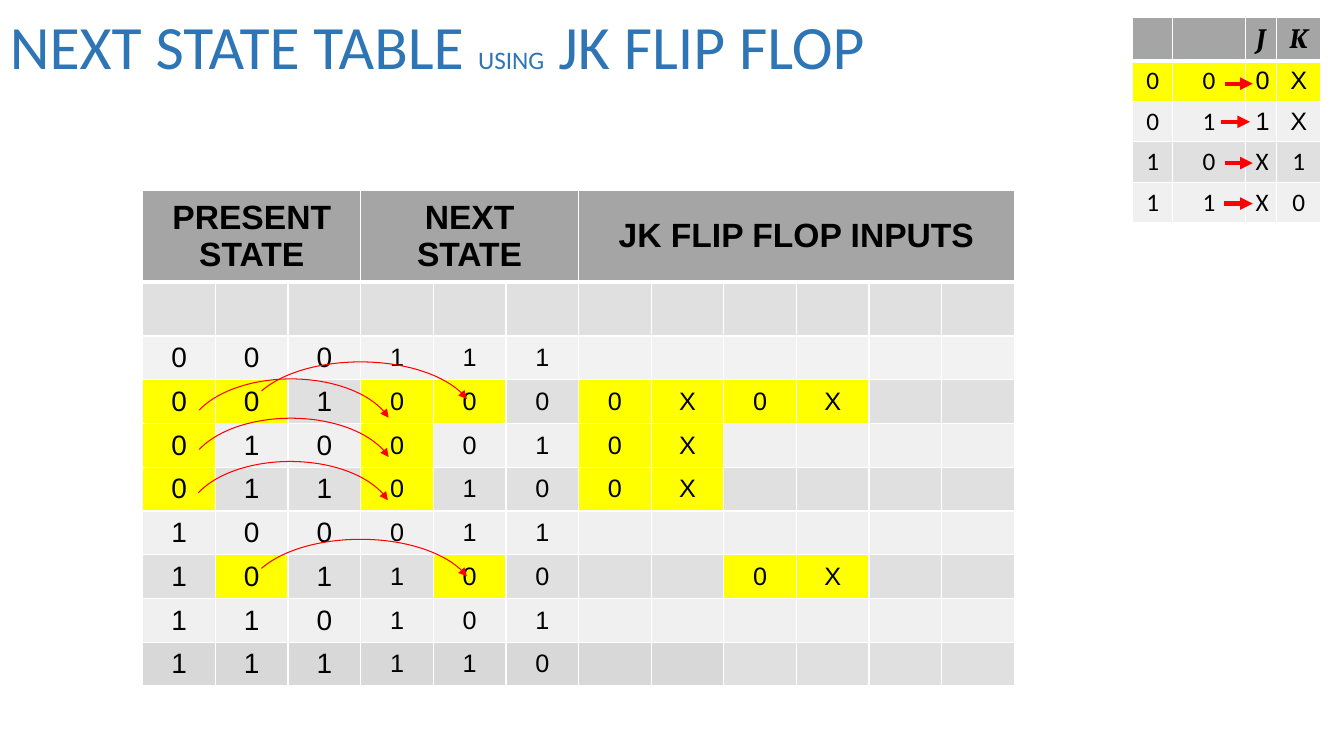
from dataclasses import dataclass

from lxml.etree import SubElement
from pptx import Presentation
from pptx.dml.color import RGBColor
from pptx.enum.shapes import MSO_CONNECTOR, MSO_SHAPE
from pptx.enum.text import MSO_ANCHOR, PP_ALIGN
from pptx.oxml.ns import qn
from pptx.slide import Slide
from pptx.table import Table, _Cell
from pptx.text.text import _Paragraph
from pptx.util import Cm, Pt

BLUE = RGBColor(0x2E, 0x75, 0xB5)
BLACK = RGBColor(0x00, 0x00, 0x00)
WHITE = RGBColor(0xFF, 0xFF, 0xFF)
RED = RGBColor(0xFF, 0x00, 0x00)
YELLOW = RGBColor(0xFF, 0xFF, 0x00)
HEADER_GREY = RGBColor(0xA5, 0xA5, 0xA5)
DARK_GREY = RGBColor(0xD8, 0xD8, 0xD8)
MIDDLE_GREY = RGBColor(0xE0, 0xE0, 0xE0)
LIGHT_GREY = RGBColor(0xF0, 0xF0, 0xF0)
PALE_GREY = RGBColor(0xF2, 0xF2, 0xF2)

STATE_COLUMNS = 12
ARC_START, ARC_END = 117.94, 209.15


@dataclass(frozen=True)
class TextStyle:
    size: float
    font: str
    color: RGBColor = BLACK
    bold: bool = False
    italic: bool = False


@dataclass(frozen=True)
class HeaderGroup:
    text: str
    first: int
    last: int


@dataclass(frozen=True)
class StateRow:
    values: str
    shade: RGBColor
    yellow: tuple[int, ...] = ()


@dataclass(frozen=True)
class ExcitationRow:
    values: str
    shade: RGBColor
    input_font: str


@dataclass(frozen=True)
class StraightArrow:
    start: float
    end: float
    level: float


@dataclass(frozen=True)
class ArcArrow:
    left: float
    top: float
    width: float


TITLE_BIG = TextStyle(44, "Calibri", BLUE)
TITLE_SMALL = TextStyle(18, "Calibri", BLUE)
GROUP_STYLE = TextStyle(24, "Arial", bold=True)
PRESENT_STYLE = TextStyle(20, "Arial")
NEXT_STYLE = TextStyle(18, "Arial")
INPUT_NAME_STYLE = TextStyle(20, "Cambria", bold=True, italic=True)

HEADER_GROUPS = (
    HeaderGroup("PRESENT STATE", 0, 2),
    HeaderGroup("NEXT STATE", 3, 5),
    HeaderGroup("JK FLIP FLOP INPUTS", 6, 11),
)
STATE_ROWS = (
    StateRow("", MIDDLE_GREY),
    StateRow("000111", PALE_GREY),
    StateRow("0010000X0X", MIDDLE_GREY, (0, 1, 3, 4, 6, 7, 8, 9)),
    StateRow("0100010X", LIGHT_GREY, (0, 3, 6, 7)),
    StateRow("0110100X", MIDDLE_GREY, (0, 3, 6, 7)),
    StateRow("100011", LIGHT_GREY),
    StateRow("101100  0X", MIDDLE_GREY, (1, 4, 8, 9)),
    StateRow("110101", LIGHT_GREY),
    StateRow("111110", DARK_GREY),
)
EXCITATION_ROWS = (
    ExcitationRow("000X", YELLOW, "Arial"),
    ExcitationRow("011X", LIGHT_GREY, "Arial"),
    ExcitationRow("10X1", MIDDLE_GREY, "Calibri"),
    ExcitationRow("11X0", LIGHT_GREY, "Calibri"),
)
EXCITATION_ARROWS = (
    StraightArrow(30.86, 31.57, 2.11),
    StraightArrow(30.78, 31.5, 3.07),
    StraightArrow(30.86, 31.57, 4.11),
    StraightArrow(30.84, 31.57, 5.13),
)
STATE_ARCS = (
    ArcArrow(4.72, 9.55, 5.23),
    ArcArrow(4.72, 10.54, 5.23),
    ArcArrow(4.7, 11.63, 5.23),
    ArcArrow(6.2, 9.12, 5.77),
    ArcArrow(6.2, 13.59, 5.77),
)


def add_span(para: _Paragraph, text: str, style: TextStyle) -> None:
    span = para.add_run()
    span.text = text
    span.font.size = Pt(style.size)
    span.font.name = style.font
    span.font.color.rgb = style.color
    span.font.bold = style.bold
    span.font.italic = style.italic


def dress_cell(cell: _Cell, fill: RGBColor, bottom: float = 1) -> None:
    properties = cell._tc.get_or_add_tcPr()
    for side, width in (("lnL", 1), ("lnR", 1), ("lnT", 1), ("lnB", bottom)):
        border = SubElement(properties, qn(f"a:{side}"), w=str(Pt(width)))
        paint = SubElement(border, qn("a:solidFill"))
        SubElement(paint, qn("a:srgbClr"), val=str(WHITE))
    cell.fill.solid()
    cell.fill.fore_color.rgb = fill
    cell.vertical_anchor = MSO_ANCHOR.MIDDLE


def write_cell(cell: _Cell, text: str, style: TextStyle) -> None:
    para = cell.text_frame.paragraphs[0]
    para.alignment = PP_ALIGN.CENTER
    add_span(para, text, style)


def add_grid(page: Slide, left: float, top: float, widths: list[float], heights: list[float]) -> Table:
    frame = page.shapes.add_table(
        len(heights), len(widths), Cm(left), Cm(top), Cm(sum(widths)), Cm(sum(heights))
    )
    table = frame.table
    table.horz_banding = False
    for column, width in zip(table.columns, widths):
        column.width = Cm(width)
    for row, height in zip(table.rows, heights):
        row.height = Cm(height)
    for column in range(len(widths)):
        dress_cell(table.cell(0, column), HEADER_GREY, 3)
    return table


def add_title(page: Slide) -> None:
    box = page.shapes.add_textbox(Cm(0), Cm(0), Cm(25.37), Cm(2.51))
    box.text_frame.word_wrap = True
    box.text_frame.vertical_anchor = MSO_ANCHOR.MIDDLE
    para = box.text_frame.paragraphs[0]
    para.line_spacing = 0.9
    add_span(para, "NEXT STATE TABLE ", TITLE_BIG)
    add_span(para, "USING", TITLE_SMALL)
    add_span(para, " JK FLIP FLOP", TITLE_BIG)


def add_state_table(page: Slide) -> None:
    table = add_grid(page, 3.6, 4.81, [1.83] * STATE_COLUMNS, [2.27, 1.37] + [1.1] * 8)
    for group in HEADER_GROUPS:
        table.cell(0, group.first).merge(table.cell(0, group.last))
        write_cell(table.cell(0, group.first), group.text, GROUP_STYLE)
    for number, row in enumerate(STATE_ROWS, start=1):
        for column, value in enumerate(row.values.ljust(STATE_COLUMNS)):
            cell = table.cell(number, column)
            shade = MIDDLE_GREY if row.shade == DARK_GREY and column > 7 else row.shade
            dress_cell(cell, YELLOW if column in row.yellow else shade)
            if value.strip():
                write_cell(cell, value, PRESENT_STYLE if column < 3 else NEXT_STYLE)


def add_excitation_table(page: Slide) -> None:
    table = add_grid(page, 28.55, 0.43, [1, 1.84, 0.78, 1.12], [1.1] + [1.02] * 4)
    for column, name in enumerate("JK", start=2):
        write_cell(table.cell(0, column), name, INPUT_NAME_STYLE)
    for number, row in enumerate(EXCITATION_ROWS, start=1):
        for column, value in enumerate(row.values):
            cell = table.cell(number, column)
            dress_cell(cell, row.shade)
            write_cell(cell, value, TextStyle(18, "Calibri" if column < 2 else row.input_font))


def add_straight_arrow(page: Slide, arrow: StraightArrow) -> None:
    line = page.shapes.add_connector(
        MSO_CONNECTOR.STRAIGHT, Cm(arrow.start), Cm(arrow.level), Cm(arrow.end), Cm(arrow.level)
    )
    line.line.width = Pt(3)
    line.line.color.rgb = RED
    properties = line._element.spPr
    SubElement(properties.get_or_add_ln(), qn("a:tailEnd"), type="triangle")
    SubElement(properties, qn("a:effectLst"))


def add_arc_arrow(page: Slide, arrow: ArcArrow) -> None:
    arc = page.shapes.add_shape(
        MSO_SHAPE.ARC, Cm(arrow.left), Cm(arrow.top), Cm(arrow.width), Cm(2.95)
    )
    arc.adjustments[0] = ARC_START
    arc.adjustments[1] = ARC_END
    arc.shadow.inherit = False
    arc.fill.background()
    arc.line.width = Pt(0.75)
    arc.line.color.rgb = RED
    SubElement(arc._element.spPr.get_or_add_ln(), qn("a:tailEnd"), type="triangle")


def main() -> None:
    deck = Presentation()
    deck.slide_width, deck.slide_height = Cm(33.87), Cm(19.05)
    page = deck.slides.add_slide(deck.slide_layouts[6])
    add_title(page)
    add_state_table(page)
    add_excitation_table(page)
    for arrow in EXCITATION_ARROWS:
        add_straight_arrow(page, arrow)
    for arc in STATE_ARCS:
        add_arc_arrow(page, arc)
    deck.save("out.pptx")


if __name__ == "__main__":
    main()
